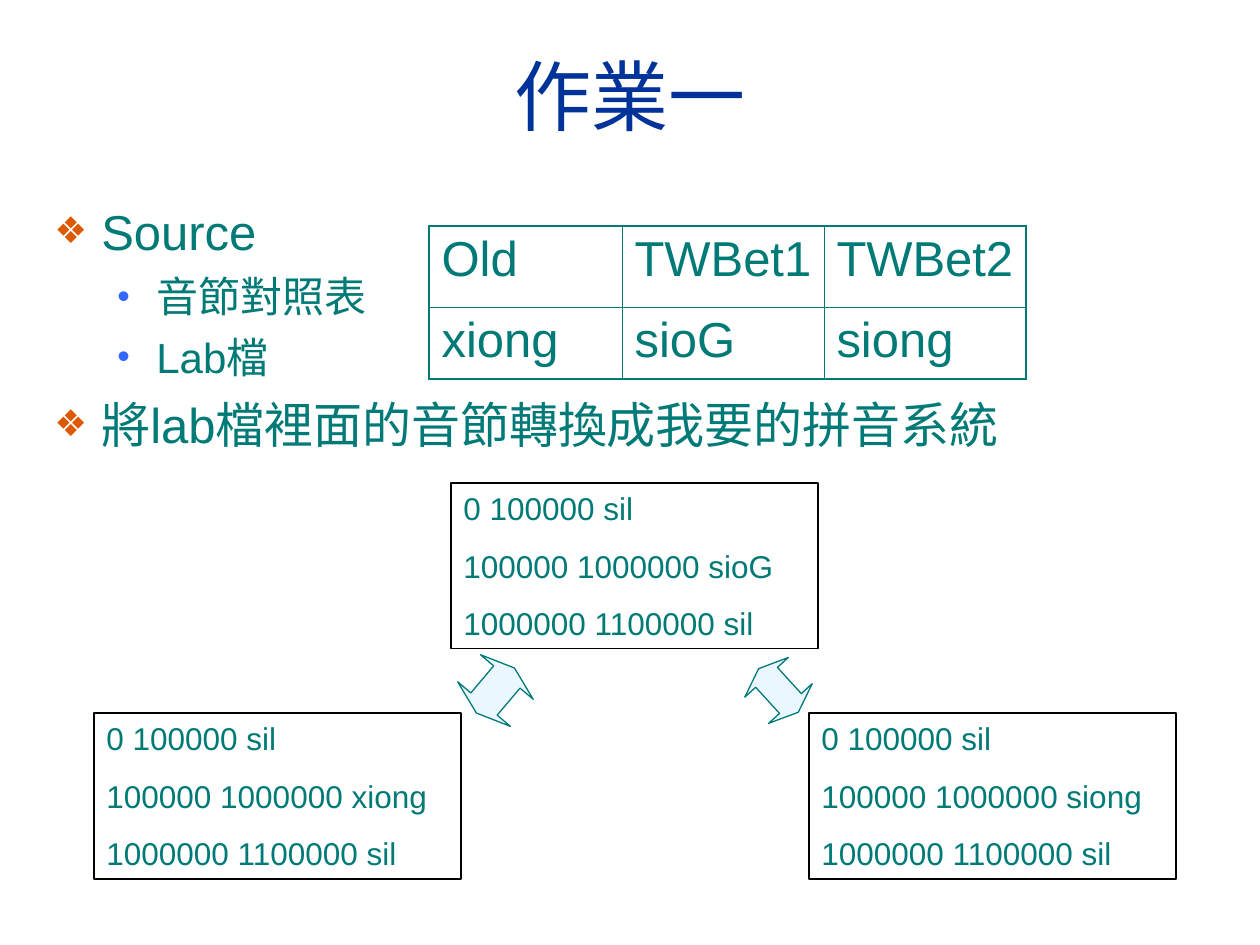
from lxml import etree
from pptx import Presentation
from pptx import util as u
from pptx.dml.color import RGBColor
from pptx.enum import shapes, text
from pptx.oxml.ns import qn

PX = u.Inches(1) // 126
FONT = "Arial"
COLORS = {
    "title": "003399",
    "text": "007A77",
    "diamond": "DC5900",
    "dot": "3366FF",
    "arrow": "EBF7FF",
    "frame": "000000",
}
# Bullet levels: character, colour, size %, margin, hanging indent, font size, space before
LEVELS = [
    ("❖", "diamond", 75, 47, 47, 28, 7),
    ("•", "dot", 85, 102, 39, 24, 6),
]


def color(name):
    return RGBColor.from_string(COLORS[name])


def box(*lengths):
    return [length * PX for length in lengths]


def style(paragraph, size, name="text", before=0):
    paragraph.font.size = u.Pt(size)
    paragraph.font.name = FONT
    paragraph.font.color.rgb = color(name)
    paragraph.space_before = u.Pt(before)


def add_bullet(paragraph, level):
    character, name, percent, margin, hanging, size, before = LEVELS[level]
    style(paragraph, size, before=before)
    paragraph.level = level
    properties = paragraph._p.get_or_add_pPr()
    properties.set("marL", str(margin * PX))
    properties.set("indent", str(-hanging * PX))
    bullet_color = etree.SubElement(properties, qn("a:buClr"))
    etree.SubElement(bullet_color, qn("a:srgbClr"), val=COLORS[name])
    etree.SubElement(properties, qn("a:buSzPct"), val=str(percent * 1000))
    etree.SubElement(properties, qn("a:buFont"), typeface=FONT)
    etree.SubElement(properties, qn("a:buChar"), char=character)


def set_title(slide, words):
    title = slide.shapes.title
    title.left, title.top, title.width, title.height = box(42, 16, 1177, 158)
    frame = title.text_frame
    frame.text = words
    frame.auto_size = text.MSO_AUTO_SIZE.NONE
    frame.vertical_anchor = text.MSO_ANCHOR.MIDDLE
    paragraph = frame.paragraphs[0]
    paragraph.alignment = text.PP_ALIGN.CENTER
    style(paragraph, 44, "title")


def add_outline(slide, items):
    frame = slide.shapes.add_textbox(*box(42, 195, 1075, 586)).text_frame
    frame.word_wrap = True
    frame.text = "\n".join(words for _, words in items)
    for paragraph, (level, _) in zip(frame.paragraphs, items):
        add_bullet(paragraph, level)


def set_borders(cell, outer_sides):
    properties = cell._tc.get_or_add_tcPr()
    for position, side in enumerate("LRTB"):
        width = 1.08 if side in outer_sides else 0.45
        line = etree.Element(qn(f"a:ln{side}"), w=str(u.Pt(width)))
        fill = etree.SubElement(line, qn("a:solidFill"))
        etree.SubElement(fill, qn("a:srgbClr"), val=COLORS["text"])
        properties.insert(position, line)


def add_syllable_table(slide, rows, widths, heights):
    table = slide.shapes.add_table(
        len(rows), len(widths), *box(429, 226, sum(widths), sum(heights))).table
    table.first_row = table.horz_banding = False
    for column, width in zip(table.columns, widths):
        column.width = width * PX
    for row, height in zip(table.rows, heights):
        row.height = height * PX
    for i, row in enumerate(rows):
        for j, words in enumerate(row):
            cell = table.cell(i, j)
            cell.text = words
            cell.fill.background()
            style(cell.text_frame.paragraphs[0], 28, before=7)
            edges = {"T": i == 0, "B": i == len(rows) - 1,
                     "L": j == 0, "R": j == len(row) - 1}
            set_borders(cell, [side for side, outer in edges.items() if outer])


def add_lab_box(slide, left, top, syllable):
    shape = slide.shapes.add_shape(
        shapes.MSO_SHAPE.RECTANGLE, *box(left, top, 367, 166))
    shape.shadow.inherit = False
    shape.fill.background()
    shape.line.color.rgb = color("frame")
    shape.line.width = u.Pt(0.75)
    frame = shape.text_frame
    frame.word_wrap = True
    frame.auto_size = text.MSO_AUTO_SIZE.SHAPE_TO_FIT_TEXT
    frame.vertical_anchor = text.MSO_ANCHOR.TOP
    frame.text = f"0 100000 sil\n100000 1000000 {syllable}\n1000000 1100000 sil"
    for paragraph in frame.paragraphs:
        paragraph.alignment = text.PP_ALIGN.LEFT
        style(paragraph, 18, before=11.2)


def add_arrow(slide, place, rotation):
    arrow = slide.shapes.add_shape(
        shapes.MSO_SHAPE.LEFT_RIGHT_ARROW, *box(*place))
    arrow.adjustments[0] = 0.5
    arrow.adjustments[1] = 0.2
    arrow.rotation = rotation
    arrow.shadow.inherit = False
    arrow.fill.solid()
    arrow.fill.fore_color.rgb = color("arrow")
    arrow.line.color.rgb = color("text")
    arrow.line.width = u.Pt(0.75)


def main():
    presentation = Presentation()
    presentation.slide_width, presentation.slide_height = box(1260, 945)
    slide = presentation.slides.add_slide(presentation.slide_layouts[5])

    # Title and outline
    set_title(slide, "作業一")
    add_outline(slide, [
        (0, "Source"),
        (1, "音節對照表"),
        (1, "Lab檔"),
        (0, "將lab檔裡面的音節轉換成我要的拼音系統"),
    ])

    # Syllable table
    add_syllable_table(
        slide,
        [("Old", "TWBet1", "TWBet2"), ("xiong", "sioG", "siong")],
        widths=(193, 202, 202), heights=(81, 72))

    # Lab files, one for each spelling
    for left, top, syllable in [
            (94, 713, "xiong"), (451, 483, "sioG"), (809, 713, "siong")]:
        add_lab_box(slide, left, top, syllable)

    # Two-way conversions
    add_arrow(slide, (466, 656, 59, 69), 310.2)
    add_arrow(slide, (749, 661, 59, 59), 47.7)

    presentation.save("out.pptx")


if __name__ == "__main__":
    main()
